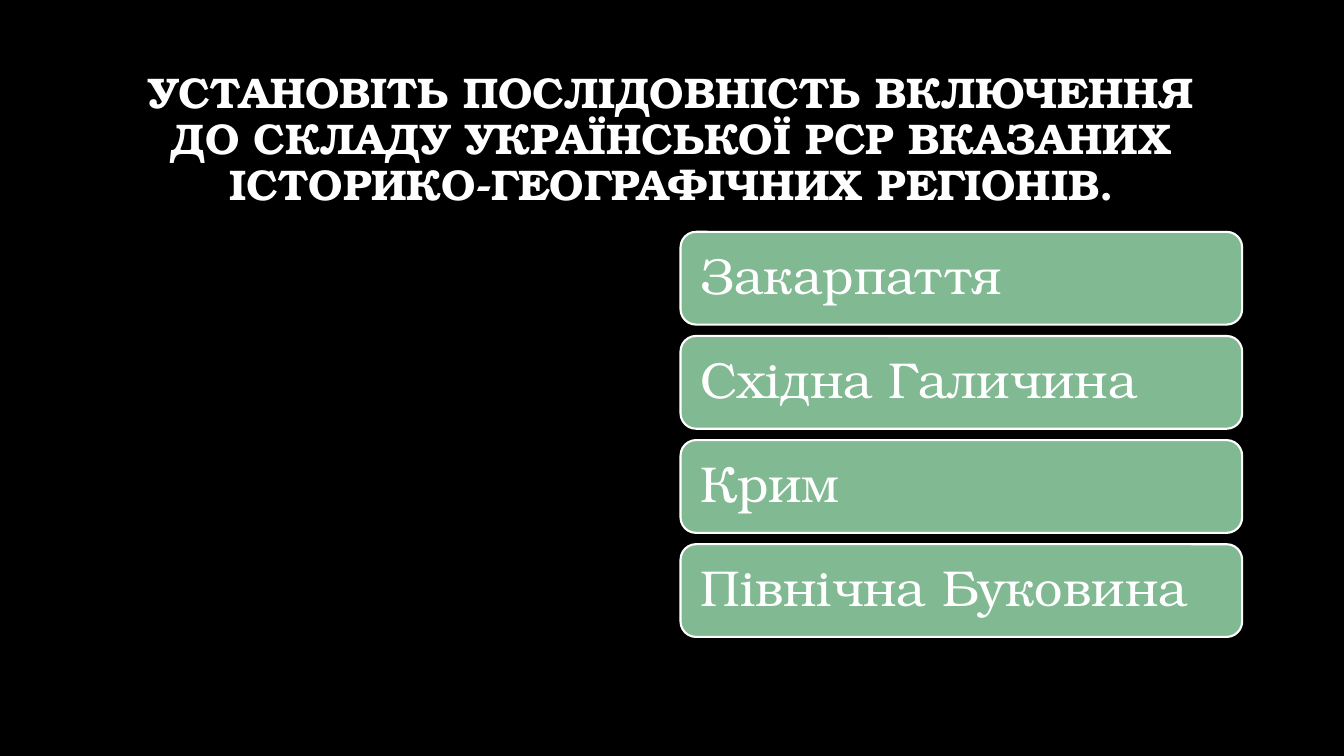
from pptx import Presentation
from pptx.dml.color import RGBColor
from pptx.enum.shapes import MSO_SHAPE
from pptx.enum.text import MSO_ANCHOR, PP_ALIGN
from pptx.util import Inches, Pt

ROUND = MSO_SHAPE.ROUNDED_RECTANGLE
MIDDLE = MSO_ANCHOR.MIDDLE
LEFT, CENTER = PP_ALIGN.LEFT, PP_ALIGN.CENTER

TITLE = ("УСТАНОВІТЬ ПОСЛІДОВНІСТЬ ВКЛЮЧЕННЯ ДО СКЛАДУ УКРАЇНСЬКОЇ РСР "
         "ВКАЗАНИХ ІСТОРИКО-ГЕОГРАФІЧНИХ РЕГІОНІВ.")
LANDS = ["Закарпаття", "Східна Галичина", "Крим", "Північна Буковина"]

THEME = {
    "back": RGBColor(0x00, 0x00, 0x00),
    "card": RGBColor(0x81, 0xB9, 0x92),
    "ink": RGBColor(0xFF, 0xFF, 0xFF),
    "font": "TeX Gyre Bonum",
    "title": Pt(30.6),
    "body": Pt(36),
    "line": Pt(1.5),
}
WIDE, HIGH = 13.33, 7.5
HEAD = (1, 0.67, 11.32, 1.45)
LIST = {"left": 6.75, "top": 2.3, "wide": 5.57, "row": 0.92, "step": 1.033}


def write(shape, text, size, bold, align, pad):
    frame = shape.text_frame
    look = {"word_wrap": True, "vertical_anchor": MIDDLE,
            "margin_left": pad[0], "margin_right": pad[0],
            "margin_top": pad[1], "margin_bottom": pad[1]}
    para = frame.paragraphs[0]
    para.text = text
    form = {"alignment": align, "line_spacing": 0.9}
    face = {"name": THEME["font"], "size": size, "bold": bold}
    for item, vals in ((frame, look), (para, form), (para.runs[0].font, face)):
        for key, val in vals.items():
            setattr(item, key, val)
    para.runs[0].font.color.rgb = THEME["ink"]


def card(slide, row, text):
    top = LIST["top"] + row * LIST["step"]
    box = [Inches(v) for v in (LIST["left"], top, LIST["wide"], LIST["row"])]
    shape = slide.shapes.add_shape(ROUND, *box)
    shape.shadow.inherit = False
    shape.fill.solid()
    shape.fill.fore_color.rgb = THEME["card"]
    shape.line.color.rgb = THEME["ink"]
    shape.line.width = THEME["line"]
    write(shape, text, THEME["body"], False, LEFT, [Inches(0.15)] * 2)


def main():
    deck = Presentation()
    deck.slide_width, deck.slide_height = Inches(WIDE), Inches(HIGH)
    slide = deck.slides.add_slide(deck.slide_layouts[6])
    slide.background.fill.solid()
    slide.background.fill.fore_color.rgb = THEME["back"]
    head = slide.shapes.add_textbox(*[Inches(v) for v in HEAD])
    write(head, TITLE, THEME["title"], True, CENTER, (Inches(0.1), Inches(0.05)))
    for row, text in enumerate(LANDS):
        card(slide, row, text)
    deck.save("out.pptx")


if __name__ == "__main__":
    main()
